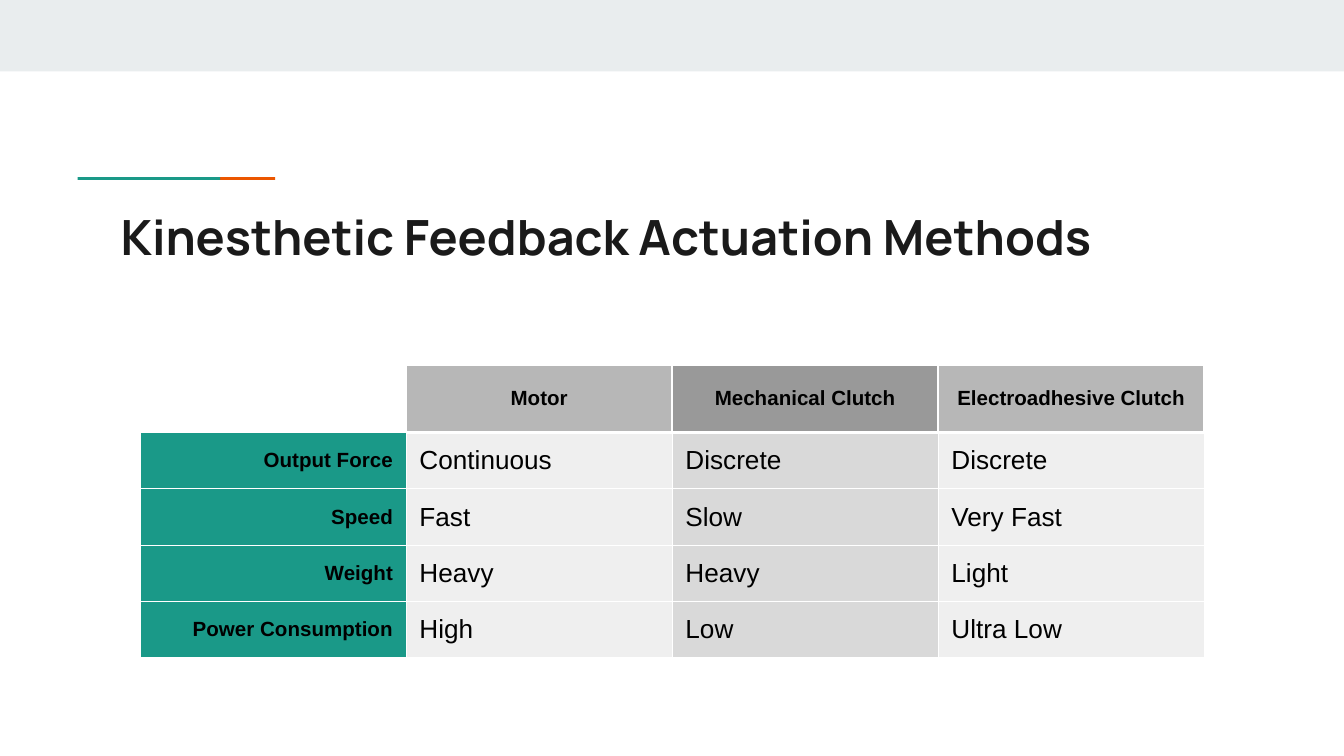
from dataclasses import dataclass

import lxml.etree
import pptx
import pptx.dml.color
import pptx.enum.shapes
import pptx.enum.text
import pptx.oxml.ns
import pptx.util

Cm = pptx.util.Cm
Pt = pptx.util.Pt
ALIGN = pptx.enum.text.PP_ALIGN
ANCHOR = pptx.enum.text.MSO_ANCHOR


@dataclass(frozen=True)
class Theme:
    """Colours, fonts and type sizes of the slide."""
    band: str = "E9EDEE"
    teal: str = "1A9988"
    orange: str = "EB5600"
    title: str = "1A1A1A"
    text: str = "000000"
    border: str = "FFFFFF"
    headers: tuple = ("B7B7B7", "999999", "B7B7B7")
    columns: tuple = ("EFEFEF", "D9D9D9", "EFEFEF")
    title_font: str = "Manrope"
    table_font: str = "Arial"
    title_size: float = 26
    label_size: float = 11
    value_size: float = 14
    thin: float = 0.75
    thick: float = 1.5


THEME = Theme()
METHODS = ["Motor", "Mechanical Clutch", "Electroadhesive Clutch"]
PROPERTIES = [
    ("Output Force", "Continuous", "Discrete", "Discrete"),
    ("Speed", "Fast", "Slow", "Very Fast"),
    ("Weight", "Heavy", "Heavy", "Light"),
    ("Power Consumption", "High", "Low", "Ultra Low"),
]


def rgb(value):
    """Turn a hex string into a colour."""
    return pptx.dml.color.RGBColor.from_string(value)


def add_block(slide, box, colour):
    """Draw a plain filled rectangle in the box."""
    block = slide.shapes.add_shape(
        pptx.enum.shapes.MSO_SHAPE.RECTANGLE, *map(Cm, box))
    block.shadow.inherit = False
    block.fill.solid()
    block.fill.fore_color.rgb = rgb(colour)
    block.line.fill.background()


def add_accent(slide, box):
    """Draw two overlapping bars, teal over orange, across the box."""
    left, top, width, height = box
    offset = 1.04
    for start, colour in ((offset, THEME.orange), (0, THEME.teal)):
        add_block(slide, (left + start, top, width - offset, height), colour)


def add_run(paragraph, text, font, size, colour, bold):
    """Append one formatted run to the paragraph."""
    run = paragraph.add_run()
    run.text = text
    run.font.name = font
    run.font.size = Pt(size)
    run.font.bold = bold
    run.font.color.rgb = rgb(colour)


def set_title(slide, box, text):
    """Move the title placeholder to the box and fill it."""
    title = slide.shapes.title
    title.left, title.top, title.width, title.height = map(Cm, box)
    frame = title.text_frame
    frame.word_wrap = True
    frame.auto_size = pptx.enum.text.MSO_AUTO_SIZE.NONE
    frame.vertical_anchor = ANCHOR.TOP
    frame.margin_left = frame.margin_right = Cm(0.25)
    frame.margin_top = frame.margin_bottom = Cm(0.25)
    heading = frame.paragraphs[0]
    heading.alignment = ALIGN.LEFT
    add_run(heading, text, THEME.title_font, THEME.title_size, THEME.title, True)


def set_borders(cell, widths):
    """Give the cell borders in the order left, right, top, bottom."""
    properties = cell._tc.get_or_add_tcPr()
    for side, width in zip(("lnL", "lnR", "lnT", "lnB"), widths):
        line = lxml.etree.SubElement(
            properties, pptx.oxml.ns.qn(f"a:{side}"), w=str(Pt(width)))
        fill = lxml.etree.SubElement(line, pptx.oxml.ns.qn("a:solidFill"))
        lxml.etree.SubElement(
            fill, pptx.oxml.ns.qn("a:srgbClr"), val=THEME.border)


def border_widths(row, column):
    """Return thick borders around the method headers and thin ones elsewhere."""
    thin, thick = THEME.thin, THEME.thick
    if column == 0:
        return (thin, thick if row == 0 else thin, thin, thin)
    if row == 0:
        return (thick,) * 4
    return (thin, thin, thick if row == 1 else thin, thin)


def cell_style(row, column):
    """Return fill, alignment, size and weight for a table position."""
    if column == 0:
        return THEME.teal, ALIGN.RIGHT, THEME.label_size, True
    if row == 0:
        return THEME.headers[column - 1], ALIGN.CENTER, THEME.label_size, True
    return THEME.columns[column - 1], ALIGN.LEFT, THEME.value_size, False


def fill_cell(cell, row, column, text):
    """Format one cell and write its text."""
    set_borders(cell, border_widths(row, column))
    cell.vertical_anchor = ANCHOR.MIDDLE
    cell.margin_left = cell.margin_right = Cm(0.25)
    cell.margin_top = cell.margin_bottom = Cm(0.25)
    if not text:
        cell.fill.background()
        return
    colour, alignment, size, bold = cell_style(row, column)
    cell.fill.solid()
    cell.fill.fore_color.rgb = rgb(colour)
    paragraph = cell.text_frame.paragraphs[0]
    paragraph.alignment = alignment
    add_run(paragraph, text, THEME.table_font, size, THEME.text, bold)


def add_comparison(slide, box):
    """Build the comparison table of actuation methods in the box."""
    content = [("", *METHODS), *PROPERTIES]
    width, height = box[2:]
    header_height = 1.21
    comparison = slide.shapes.add_table(
        len(content), len(content[0]), *map(Cm, box)).table
    comparison.first_row = False
    comparison.horz_banding = False
    for column in comparison.columns:
        column.width = Cm(width / len(content[0]))
    for index, row in enumerate(comparison.rows):
        row.height = Cm((height - header_height) / len(PROPERTIES)
                        if index else header_height)
    for row, texts in enumerate(content):
        for column, text in enumerate(texts):
            fill_cell(comparison.cell(row, column), row, column, text)


def main():
    """Build the slide and save it."""
    deck = pptx.Presentation()
    deck.slide_width, deck.slide_height = Cm(25.4), Cm(14.29)
    slide = deck.slides.add_slide(deck.slide_layouts[5])
    add_block(slide, (0, 0, 25.4, 1.35), THEME.band)
    add_accent(slide, (1.47, 3.35, 3.73, 0.05))
    set_title(slide, (2.03, 3.66, 21.36, 1.5),
              "Kinesthetic Feedback Actuation Methods")
    add_comparison(slide, (2.65, 6.9, 20.11, 5.47))
    deck.save("out.pptx")


if __name__ == "__main__":
    main()
